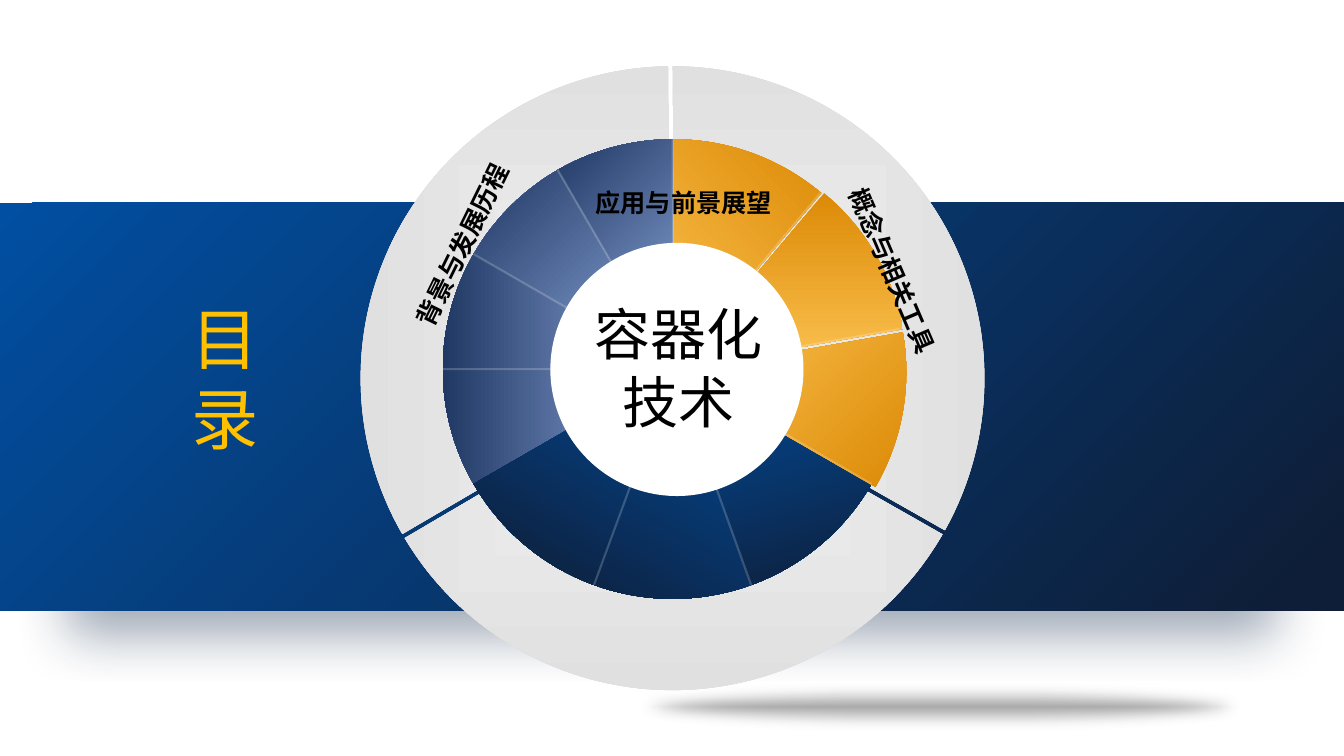
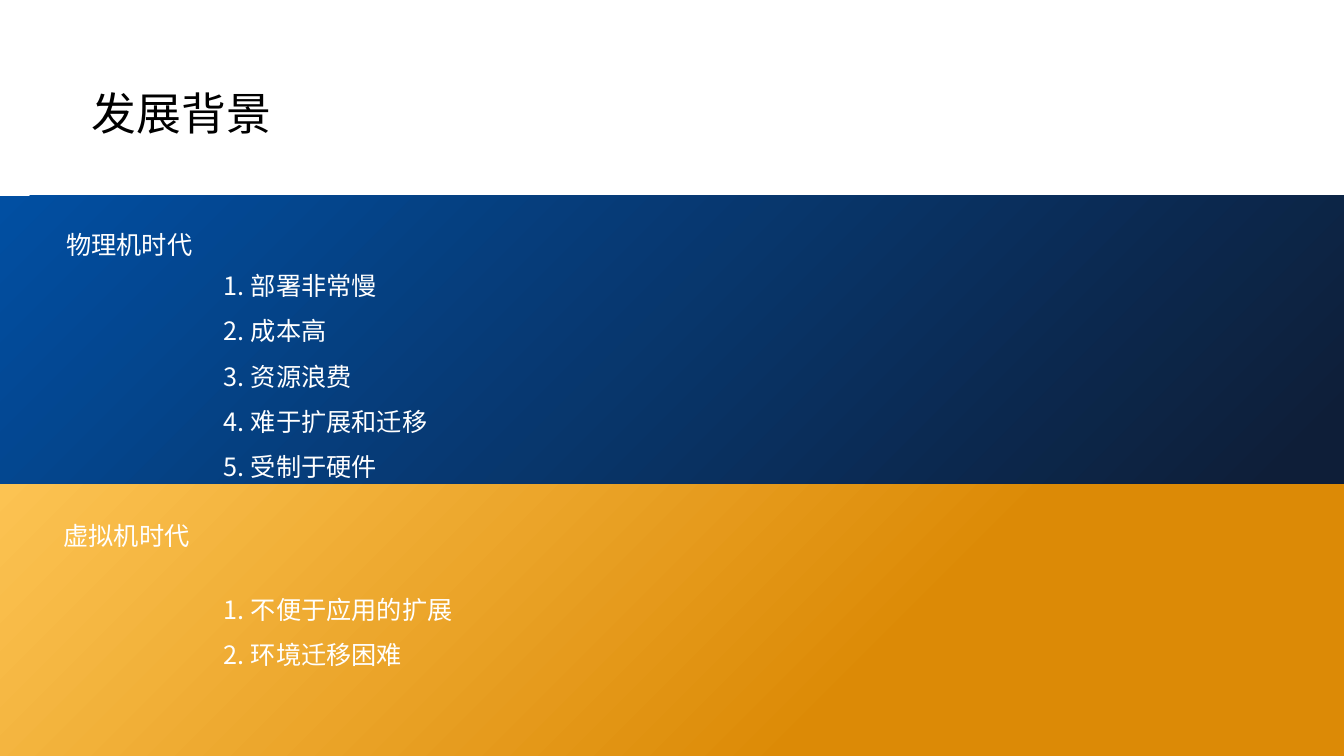
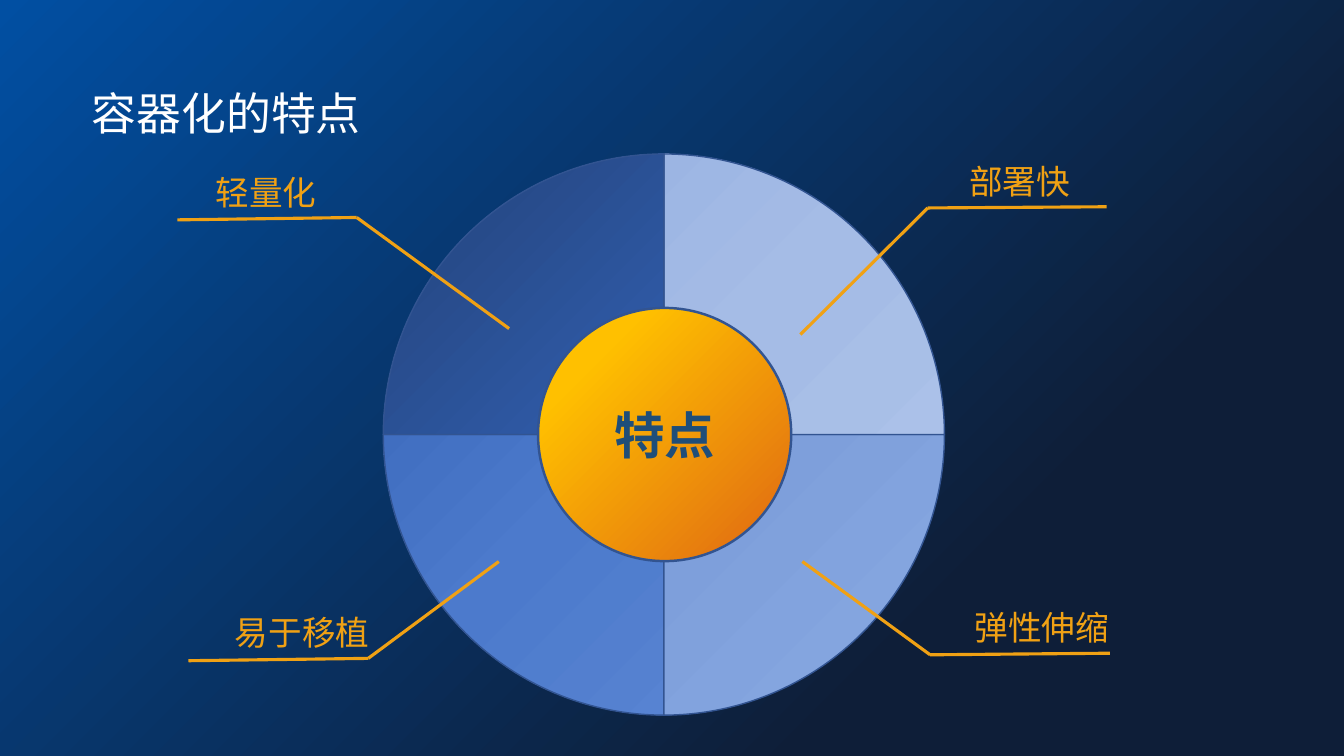
from copy import deepcopy
from dataclasses import dataclass
from math import asin, cos, degrees, radians, sin

from lxml import etree
from pptx import Presentation
from pptx.dml.color import RGBColor
from pptx.enum.shapes import MSO_CONNECTOR, MSO_SHAPE
from pptx.enum.text import MSO_ANCHOR, MSO_AUTO_SIZE, PP_ALIGN
from pptx.oxml.ns import qn
from pptx.util import Cm, Pt

STRAIGHT = MSO_CONNECTOR.STRAIGHT
BAND, OVAL, PIE = MSO_SHAPE.ROUNDED_RECTANGLE, MSO_SHAPE.OVAL, MSO_SHAPE.PIE
TOP, MIDDLE = MSO_ANCHOR.TOP, MSO_ANCHOR.MIDDLE
LEFT, CENTER = PP_ALIGN.LEFT, PP_ALIGN.CENTER
NO_AUTOFIT = MSO_AUTO_SIZE.NONE


@dataclass(frozen=True)
class Theme:
    """Colours, gradients (colour and position), fonts and sizes of the deck."""

    width: float = 33.87
    height: float = 19.05
    font: str = "Noto Sans CJK SC"
    hub_font: str = "Roboto"
    black: str = "000000"
    white: str = "FFFFFF"
    gold: str = "FFC000"
    callout: str = "F0A114"
    outline: str = "325491"
    hub_text: str = "1F4E79"
    shadow: str = "0C2546"
    navy: tuple = (("014FA2", 0), ("0E1E38", 96))
    night: tuple = (("014FA2", 0), ("0E1E38", 74))
    orange: tuple = (("DC8A06", 0), ("FCC352", 100))
    orange_band: tuple = (("DC8A06", 35), ("FCC352", 100))
    slate: tuple = (("8FAADC", 0), ("203864", 100))
    silver: tuple = (("F2F2F2", 0), ("D9D9D9", 100))
    ground: tuple = (("595959", 0), ("808080", 96))
    hub: tuple = (("FFC000", 21), ("DF6613", 100))
    quarters: tuple = (
        ("23427A", "315EAD", "3A6FCE"),
        ("91ADE0", "A5BCE6", "B0C6EB"),
        ("5A84D0", "799BD9", "89A9E1"),
        ("3260B1", "4C7ACC", "628CD7"),
    )
    body_size: int = 18
    label_size: int = 24
    title_size: int = 32
    hub_size: int = 36
    center_size: int = 40
    contents_size: int = 48


THEME = Theme()


def add_xml(parent, tag, **attributes):
    """Append a DrawingML child with the given attributes."""
    values = {name: str(value) for name, value in attributes.items()}
    return etree.SubElement(parent, qn(tag), values)


def set_stop(stop, color, position):
    """Set the colour and the position in percent of a gradient stop."""
    stop.color.rgb = RGBColor.from_string(color)
    stop.position = position / 100


def fill_gradient(fill, stops, angle=0):
    """Fill with a two-stop gradient running clockwise at the angle."""
    fill.gradient()
    fill.gradient_angle = -angle % 360
    for stop, values in zip(fill.gradient_stops, stops):
        set_stop(stop, *values)


def insert_stop(shape, color, position):
    """Insert a middle stop into the gradient of a shape."""
    stops = next(shape._element.spPr.iter(qn("a:gsLst")))
    stops.insert(1, deepcopy(stops[0]))
    set_stop(shape.fill.gradient_stops[1], color, position)


def make_radial(shape, kind, left, top, right, bottom):
    """Turn the gradient of a shape into one around a focus rectangle."""
    gradient = shape._element.spPr.find(qn("a:gradFill"))
    gradient.remove(gradient.find(qn("a:lin")))
    route = add_xml(gradient, "a:path", path=kind)
    add_xml(route, "a:fillToRect", l=left * 1000, t=top * 1000, r=right * 1000, b=bottom * 1000)


def set_outline(shape, color=None, width=1):
    """Remove the theme shadow and set or hide the outline."""
    shape.shadow.inherit = False
    if color is None:
        shape.line.fill.background()
    else:
        shape.line.color.rgb = RGBColor.from_string(color)
        shape.line.width = Pt(width)


def add_figure(slide, kind, box, stops, angle=0, outline=None, width=1):
    """Add a preset shape with a gradient fill."""
    shape = slide.shapes.add_shape(kind, *map(Cm, box))
    fill_gradient(shape.fill, stops, angle)
    set_outline(shape, outline, width)
    return shape


def add_band(slide, box, stops, angle):
    """Add a full-width band with square corners."""
    band = add_figure(slide, BAND, box, stops, angle)
    band.adjustments[0] = 0
    return band


def circle_box(center, radius):
    """Return the box around a circle."""
    return center[0] - radius, center[1] - radius, 2 * radius, 2 * radius


def polar(center, radius, angle):
    """Return the point at a clockwise angle from the right."""
    return center[0] + radius * cos(radians(angle)), center[1] + radius * sin(radians(angle))


def add_sectors(slide, center, radius, starts, sweep, stops, angle=0, half_gap=0.0):
    """Add equal sectors of one circle as a single freeform with true arcs."""
    trim = degrees(asin(half_gap / radius))
    builder, arcs = None, []
    for start in starts:
        first, last = start + trim, start + sweep - trim
        turns = [first, *(a for a in range(0, 721, 90) if first < a < last), last]
        tip = polar(center, half_gap / sin(radians(sweep / 2)), start + sweep / 2)
        origin, *rest = [tuple(map(Cm, point)) for point in
                         (tip, *(polar(center, radius, turn) for turn in turns))]
        if builder is None:
            builder = slide.shapes.build_freeform(*origin)
        else:
            builder.move_to(*origin)
        builder.add_line_segments(rest, close=True)
        arcs += [None, *zip(turns, turns[1:])]
    shape = builder.convert_to_shape()
    for line, arc in zip(list(shape._element.spPr.iter(qn("a:lnTo"))), arcs):
        if arc:
            begin, end = arc
            curve = add_xml(line.getparent(), "a:arcTo", wR=Cm(radius), hR=Cm(radius),
                            stAng=round(begin % 360 * 60000), swAng=round((end - begin) * 60000))
            line.getparent().replace(line, curve)
    fill_gradient(shape.fill, stops, angle)
    set_outline(shape)
    return shape


def turn_about(shape, pivot, angle):
    """Rotate a shape clockwise about a pivot point."""
    pivot_x, pivot_y = map(Cm, pivot)
    across = shape.left + shape.width / 2 - pivot_x
    down = shape.top + shape.height / 2 - pivot_y
    cosine, sine = cos(radians(angle)), sin(radians(angle))
    shape.left = round(pivot_x + across * cosine - down * sine - shape.width / 2)
    shape.top = round(pivot_y + across * sine + down * cosine - shape.height / 2)
    shape.rotation = angle


def add_line(slide, start, end, color, width):
    """Add a straight connector without shadow."""
    line = slide.shapes.add_connector(STRAIGHT, *map(Cm, (*start, *end)))
    line.line.color.rgb = RGBColor.from_string(color)
    line.line.width = Pt(width)
    add_xml(line._element.spPr, "a:effectLst")
    return line


def write(shape, lines, size, color, align=LEFT, anchor=MIDDLE, spacing=None,
          wrap=True, bold=False, numbered=False, font=THEME.font):
    """Write one paragraph per line in a single style."""
    frame = shape.text_frame
    frame.auto_size = NO_AUTOFIT
    frame.word_wrap = wrap
    frame.vertical_anchor = anchor
    for index, line in enumerate(lines):
        paragraph = frame.add_paragraph() if index else frame.paragraphs[0]
        paragraph.text = line
        properties = paragraph._p.get_or_add_pPr()
        if numbered:
            properties.set("marL", str(Cm(0.69)))
            properties.set("indent", str(-Cm(0.69)))
            add_xml(properties, "a:buAutoNum", type="arabicPeriod")
        paragraph.alignment = align
        paragraph.space_before = Pt(0)
        if spacing:
            paragraph.line_spacing = Pt(spacing)
        paragraph.font.size = Pt(size)
        paragraph.font.bold = bold
        paragraph.font.color.rgb = RGBColor.from_string(color)
        paragraph.font.name = font
        add_xml(properties.find(qn("a:defRPr")), "a:ea", typeface=THEME.font)


def add_text(slide, box, text, size, color, **style):
    """Add a text box holding one paragraph."""
    shape = slide.shapes.add_textbox(*map(Cm, box))
    write(shape, [text], size, color, **style)
    return shape


def fill_placeholder(placeholder, box, lines, size, color, **style):
    """Move a placeholder to the front of the slide and write in it."""
    placeholder.left, placeholder.top, placeholder.width, placeholder.height = map(Cm, box)
    element = placeholder._element
    element.getparent().append(element)
    write(placeholder, lines, size, color, **style)


def set_title(slide, text, color):
    """Place the title in the position shared by content slides."""
    box = (2.06, 2.03, 1.13 * len(text) + 0.56, 1.63)
    fill_placeholder(slide.shapes.title, box, [text], THEME.title_size, color, wrap=False)


def add_contents_band(slide, top, height):
    """Add the navy band with its soft shadow and the shade on the ground."""
    band = add_band(slide, (0, top, THEME.width, height), THEME.navy, 45)
    effects = band._element.spPr.find(qn("a:effectLst"))
    shadow = add_xml(effects, "a:outerShdw", blurRad=Pt(40), dist=Pt(50), dir=5400000,
                     sx=90000, sy=78000, algn="ctr", rotWithShape=0)
    add_xml(add_xml(shadow, "a:srgbClr", val=THEME.shadow), "a:alpha", val=40000)

    ground = add_figure(slide, OVAL, (15.04, top + 11.93, 17.32, 1.52), THEME.ground)
    make_radial(ground, "shape", 50, 50, 50, 50)
    for color, alpha in zip(ground._element.spPr.iter(qn("a:srgbClr")), (50000, 0)):
        add_xml(color, "a:alpha", val=alpha)
    add_xml(ground._element.spPr.find(qn("a:effectLst")), "a:softEdge", rad=Pt(10))


def add_contents_wheel(slide, center, radius):
    """Add the three-part ring, its coloured sectors, spokes, hub and labels."""
    x, y = center
    ring_center = (x, y + 0.23)
    ring = add_sectors(slide, ring_center, 7.86, (60, 180, 300), 120, THEME.silver, half_gap=0.06)
    make_radial(ring, "shape", 50, 50, 50, 50)
    turn_about(ring, ring_center, 329.6)

    for start, angle in ((240, 225), (210, 225), (180, 180), (150, 180)):
        add_sectors(slide, center, radius, [start], 30, THEME.slate, angle)
    for start, angle in ((310, 0), (270, 315), (350, 0)):
        sector = add_sectors(slide, center, radius, [start], 40, THEME.navy, angle)
        turn_about(sector, center, 120)
    for start, angle, right, down in ((270, 135, 0.03, 0), (310, 90, 0.1, 0), (350, 225, 0.1, 0.08)):
        add_sectors(slide, (x + right, y + down), radius, [start], 40, THEME.orange, angle)

    for angle in (310, 350, 30, 70, 110, 270, 240, 210, 180):
        spoke = add_line(slide, polar(center, radius, angle), (x + 0.02, y), THEME.white, 1.5)
        color = next(spoke._element.spPr.iter(qn("a:srgbClr")))
        add_xml(color, "a:alpha", val=20000)

    hub = slide.shapes.add_shape(OVAL, *map(Cm, circle_box((x + 0.11, y + 0.01), 3.19)))
    hub.fill.solid()
    hub.fill.fore_color.rgb = RGBColor.from_string(THEME.white)
    set_outline(hub)

    labels = (
        ("概念与相关工具", 0.64, -0.39, 66.8),
        ("背景与发展历程", -0.51, -0.79, 296.1),
        ("应用与前景展望", 0.28, 1.14, 0),
    )
    for text, right, down, rotation in labels:
        label = add_text(slide, circle_box((x + right, y + down), 6), text, THEME.body_size,
                         THEME.black, align=CENTER, anchor=TOP, spacing=26, bold=True)
        label.rotation = rotation
    add_text(slide, (x - 2.32, y - 1.89, 4.93, 3.68), "容器化技术", THEME.center_size,
             THEME.black, align=CENTER, spacing=48)


def add_era(slide, placeholder, box, stops, angle, heading, heading_at, list_top, items):
    """Add one era: a band, its heading and its numbered list."""
    top = box[1]
    add_band(slide, box, stops, angle)
    left, down = heading_at
    add_text(slide, (left, top + down, 5.69, 1.02), heading, THEME.body_size, THEME.white)
    list_box = (5.38, top + list_top, 26, 1.14 * len(items) + 0.25)
    fill_placeholder(placeholder, list_box, items, THEME.body_size, THEME.white,
                     anchor=TOP, spacing=32.2, numbered=True)


def add_feature_wheel(slide, center, radius):
    """Add four quarter pies around a golden hub."""
    for index in (3, 2, 1, 0):
        inner, middle, outer = THEME.quarters[index]
        quarter = add_figure(slide, PIE, circle_box(center, radius), ((inner, 0), (outer, 100)),
                             outline=THEME.outline)
        insert_stop(quarter, middle, 48)
        make_radial(quarter, "circle", 0, 0, 100, 100)
        quarter.adjustments[0] = 108
        quarter.adjustments[1] = 162
        quarter.rotation = 90 * index
    hub_box = circle_box((center[0] + 0.02, center[1]), 3.19)
    hub = add_figure(slide, OVAL, hub_box, THEME.hub, 45, THEME.outline, 1.75)
    write(hub, ["特点"], THEME.hub_size, THEME.hub_text, align=CENTER, bold=True,
          font=THEME.hub_font)


def add_callout(slide, text, label_at, inner, elbow, end):
    """Add a label over a line that leads into the wheel."""
    add_line(slide, inner, elbow, THEME.callout, 2.25)
    add_line(slide, elbow, end, THEME.callout, 2.25)
    add_text(slide, (*label_at, 0.86 * len(text) + 0.5, 1.27), text, THEME.label_size,
             THEME.callout, wrap=False)


def build_contents(presentation):
    """Build the contents slide."""
    slide = presentation.slides.add_slide(presentation.slide_layouts[5])
    add_contents_band(slide, 5.11, 10.27)
    add_contents_wheel(slide, (16.95, 9.3), 5.79)
    fill_placeholder(slide.shapes.title, (4.57, 7.34, 3.35, 4.37), ["目", "录"],
                     THEME.contents_size, THEME.gold, spacing=57)


def build_background(presentation):
    """Build the slide on the two earlier eras."""
    slide = presentation.slides.add_slide(presentation.slide_layouts[3])
    eras = (
        (THEME.navy, 45, "物理机时代", (1.42, 0.71), 1.39,
         ["部署非常慢", "成本高", "资源浪费", "难于扩展和迁移", "受制于硬件"]),
        (THEME.orange_band, 225, "虚拟机时代", (1.35, 0.79), 2.27,
         ["不便于应用的扩展", "环境迁移困难"]),
    )
    set_title(slide, "发展背景", THEME.black)
    for index, era in enumerate(eras):
        box = (0, 4.93 + 7.27 * index, THEME.width, 7.27)
        add_era(slide, slide.placeholders[index + 1], box, *era)


def build_features(presentation):
    """Build the slide on the four features."""
    slide = presentation.slides.add_slide(presentation.slide_layouts[5])
    fill_gradient(slide.background.fill, THEME.night, 45)
    add_feature_wheel(slide, (16.73, 10.95), 7.07)
    set_title(slide, "容器化的特点", THEME.white)
    callouts = (
        ("轻量化", (5.18, 4.2), (12.83, 8.28), (8.99, 5.48), (4.47, 5.54)),
        ("部署快", (24.18, 3.94), (20.17, 8.43), (23.38, 5.24), (27.89, 5.21)),
        ("弹性伸缩", (24.31, 15.16), (20.22, 14.15), (23.44, 16.5), (27.97, 16.46)),
        ("易于移植", (5.67, 15.3), (12.57, 14.15), (9.28, 16.59), (4.75, 16.65)),
    )
    for callout in callouts:
        add_callout(slide, *callout)


def main():
    """Build and save the presentation."""
    presentation = Presentation()
    presentation.slide_width = Cm(THEME.width)
    presentation.slide_height = Cm(THEME.height)
    build_contents(presentation)
    build_background(presentation)
    build_features(presentation)
    presentation.save("out.pptx")


if __name__ == "__main__":
    main()
